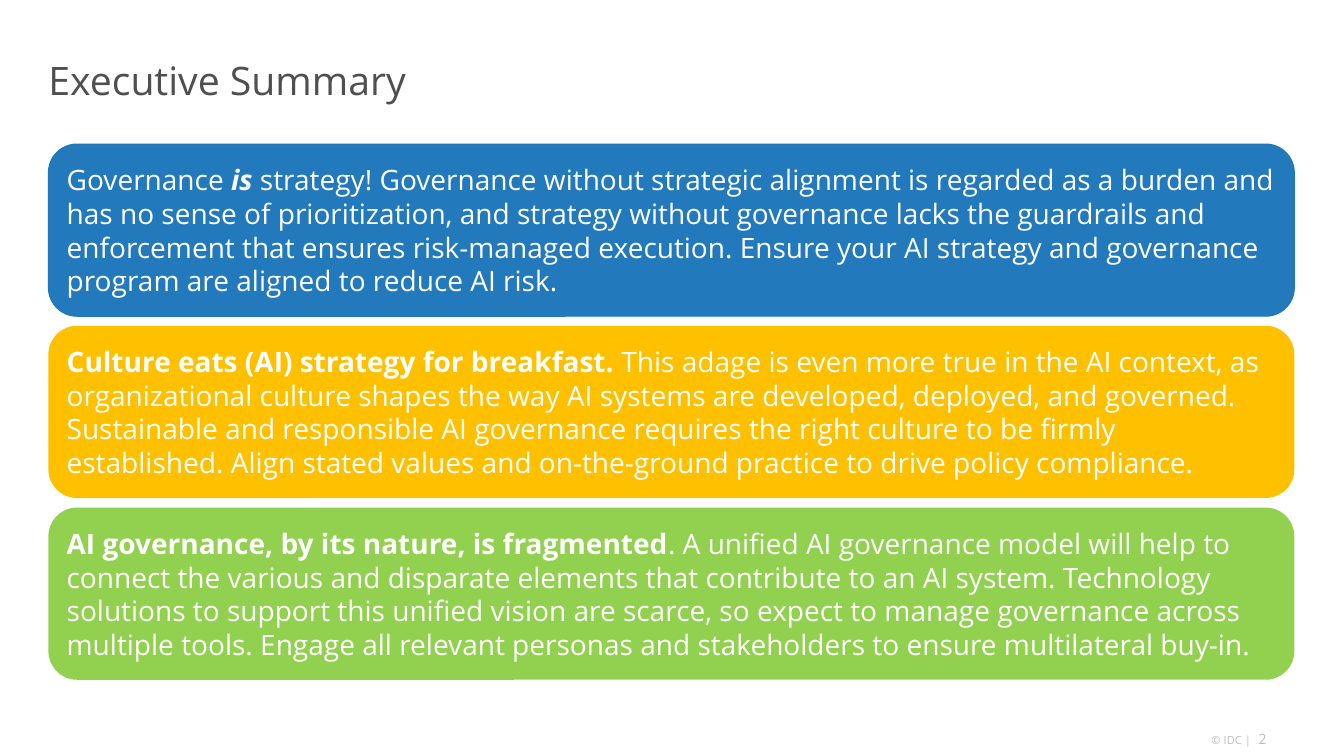
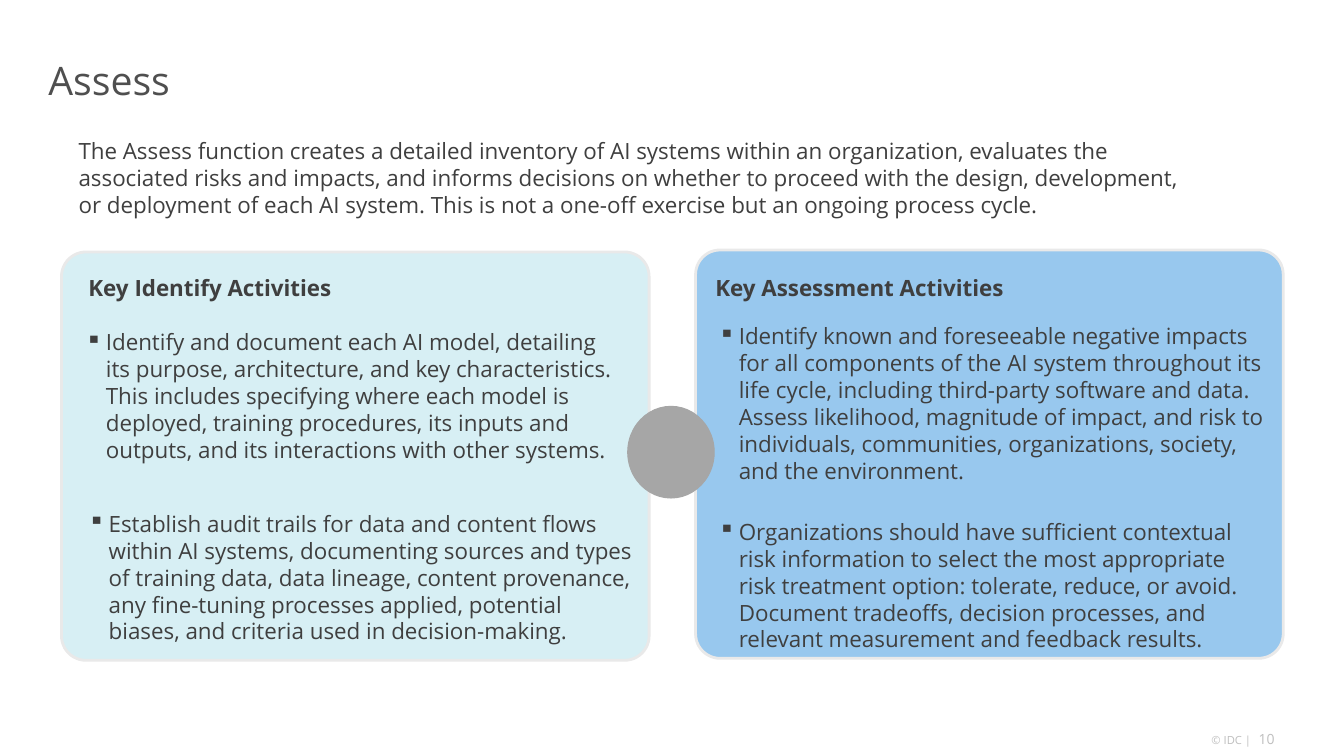
from pptx import Presentation
from pptx.dml.color import RGBColor
from pptx.enum.shapes import MSO_SHAPE as Preset
from pptx.enum.text import MSO_ANCHOR as Anchor, MSO_AUTO_SIZE as AutoSize, PP_ALIGN as Align
from pptx.util import Cm, Pt
from lxml import etree

FONT = "Open Sans"
WHITE, TITLE_GREY, TEXT_GREY, FOOTER_GREY = "FFFFFF", "4F4F4F", "3F3F3F", "BFBFBF"
PANEL_EDGE, CIRCLE_GREY = "E9E9E9", "A6A6A6"
MARGIN, CONTENT_WIDTH = 1.22, 31.4
DRAWING_NS = "http://schemas.openxmlformats.org/drawingml/2006/main"


# Shared helpers: all lengths are in centimetres
def rgb(value):
    return RGBColor.from_string(value)


def style_para(para, size, color, bold=None):
    para.alignment = Align.LEFT
    font = para.font
    font.name, font.size, font.bold = FONT, Pt(size), bold
    font.color.rgb = rgb(color)


def set_inset(frame, inset):
    frame.margin_left = frame.margin_right = Cm(inset)
    frame.margin_top = frame.margin_bottom = Cm(inset)


def add_text(page, box, text, size, color, bold=None, inset=None):
    frame = page.shapes.add_textbox(*map(Cm, box)).text_frame
    frame.word_wrap = True
    if inset is not None:
        set_inset(frame, inset)
    para = frame.paragraphs[0]
    para.text = text
    style_para(para, size, color, bold)
    return frame


def add_preset(page, preset, box, fill, line=None, width=0.75):
    shape = page.shapes.add_shape(preset, *map(Cm, box))
    shape.shadow.inherit = False
    shape.fill.solid()
    shape.fill.fore_color.rgb = rgb(fill)
    if line:
        shape.line.color.rgb = rgb(line)
        shape.line.width = Pt(width)
    else:
        shape.line.fill.background()
    return shape


def indent_para(para, bullet=None, indent=0.51):
    props = para._p.get_or_add_pPr()
    props.set("marL", str(Cm(indent)))
    props.set("indent", str(-Cm(indent) if bullet else 0))
    if bullet:
        etree.SubElement(props, f"{{{DRAWING_NS}}}buChar", char=bullet)


def add_page(deck, title, number):
    """Title and footer common to every slide."""
    page = deck.slides.add_slide(deck.slide_layouts[5])
    holder = page.shapes.title
    holder.left, holder.top = Cm(MARGIN), Cm(0.84)
    holder.width, holder.height = Cm(CONTENT_WIDTH), Cm(2.36)
    frame = holder.text_frame
    frame.text = title
    frame.vertical_anchor = Anchor.MIDDLE
    frame.auto_size = AutoSize.NONE
    set_inset(frame, 0)
    style_para(frame.paragraphs[0], 28, TITLE_GREY)
    add_text(page, (31.72, 18.42, 1.04, 0.43), str(number), 10, FOOTER_GREY, inset=0)
    add_text(page, (30.53, 18.47, 1.42, 0.33), "© IDC |", 8, FOOTER_GREY, inset=0)
    return page


# Executive summary: a stack of full-width messages
def add_message(page, box, fill, line, spans):
    shape = add_preset(page, Preset.ROUNDED_RECTANGLE, box, fill, line)
    frame = shape.text_frame
    frame.word_wrap = True
    frame.vertical_anchor = Anchor.MIDDLE
    para = frame.paragraphs[0]
    style_para(para, 20, WHITE)
    for text, bold, italic in spans:
        span = para.add_run()
        span.text = text
        span.font.bold, span.font.italic = bold, italic


def build_summary(deck):
    page = add_page(deck, "Executive Summary", 2)
    messages = [
        ("2279BC", "1D77BC", [
            ("Governance ", False, False),
            ("is", True, True),
            (" strategy! Governance without strategic alignment is regarded as a burden and "
             "has no sense of prioritization, and strategy without governance lacks the "
             "guardrails and enforcement that ensures risk-managed execution. Ensure your AI "
             "strategy and governance program are aligned to reduce AI risk.", False, False)]),
        ("FFC000", None, [
            ("Culture eats (AI) strategy for breakfast. ", True, False),
            ("This adage is even more true in the AI context, as organizational culture shapes "
             "the way AI systems are developed, deployed, and governed. Sustainable and "
             "responsible AI governance requires the right culture to be firmly established. "
             "Align stated values and on-the-ground practice to drive policy compliance.",
             False, False)]),
        ("92D050", None, [
            ("AI governance, by its nature, is fragmented", True, False),
            (". A unified AI governance model will help to connect the various and disparate "
             "elements that contribute to an AI system. Technology solutions to support this "
             "unified vision are scarce, so expect to manage governance across multiple tools. "
             "Engage all relevant personas and stakeholders to ensure multilateral buy-in.",
             False, False)]),
    ]
    top, height, pitch = 3.63, 4.34, 4.58
    for row, (fill, line, spans) in enumerate(messages):
        box = (MARGIN, top + row * pitch, CONTENT_WIDTH, height)
        add_message(page, box, fill, line, spans)


# Assess: an introduction above two activity panels
def add_activities(page, box, fill, heading, heading_offset, items):
    """Offsets of the heading and items are measured from the panel's corner."""
    left, top, width, height = box
    panel = add_preset(page, Preset.ROUNDED_RECTANGLE, box, fill, PANEL_EDGE, 2)
    panel.adjustments[0] = 0.06
    dx, dy = heading_offset
    add_text(page, (left + dx, top + dy, 9.2, 0.94), heading, 16, TEXT_GREY, True)
    for dx, dy, item_width, item_height, text, *details in items:
        item_box = (left + dx, top + dy, item_width, item_height)
        frame = add_text(page, item_box, "", 16, TEXT_GREY)
        frame.clear()
        for index, line in enumerate([text, *details]):
            para = frame.add_paragraph() if index else frame.paragraphs[0]
            para.text = line
            # A fresh paragraph element keeps bullet and font settings in order
            if not index:
                para._p.remove(para._p.get_or_add_pPr())
            indent_para(para, None if index else "▪")
            style_para(para, 16, TEXT_GREY)


def build_assess(deck):
    page = add_page(deck, "Assess", 10)
    add_text(page, (1.73, 3.33, 28.47, 2.31),
             "The Assess function creates a detailed inventory of AI systems within an "
             "organization, evaluates the associated risks and impacts, and informs decisions on "
             "whether to proceed with the design, development, or deployment of each AI system. "
             "This is not a one-off exercise but an ongoing process cycle.", 16, TEXT_GREY)
    width, height = 14.81, 10.29
    add_activities(
        page, (1.55, 6.35, width, height), "D7EFF4", "Key Identify Activities", (0.43, 0.43), [
            (0.36, 1.8, 14.12, 3.68,
             "Identify and document each AI model, detailing its purpose, architecture, and key "
             "characteristics. This includes specifying where each model is deployed, training "
             "procedures, its inputs and outputs, and its interactions with other systems."),
            (0.43, 6.38, 14.35, 3.68,
             "Establish audit trails for data and content flows within AI systems, documenting "
             "sources and types of training data, data lineage, content provenance, any "
             "fine-tuning processes applied, potential biases, and criteria used in "
             "decision-making.")])
    add_activities(
        page, (17.53, 6.3, width, height), "98C8EE", "Key Assessment Activities", (0.25, 0.48), [
            (0.33, 1.7, 14.45, 4.37,
             "Identify known and foreseeable negative impacts for all components of the AI "
             "system throughout its life cycle, including third-party software and data.",
             "Assess likelihood, magnitude of impact, and risk to individuals, communities, "
             "organizations, society, and the environment."),
            (0.33, 6.63, 14.02, 3.68,
             "Organizations should have sufficient contextual risk information to select the "
             "most appropriate risk treatment option: tolerate, reduce, or avoid. Document "
             "tradeoffs, decision processes, and relevant measurement and feedback results.")])
    # Joint between the panels
    add_preset(page, Preset.OVAL, (15.82, 10.24, 2.18, 2.31), CIRCLE_GREY, CIRCLE_GREY)


def main():
    deck = Presentation()
    deck.slide_width, deck.slide_height = Cm(33.87), Cm(19.05)
    build_summary(deck)
    build_assess(deck)
    deck.save("out.pptx")


if __name__ == "__main__":
    main()
